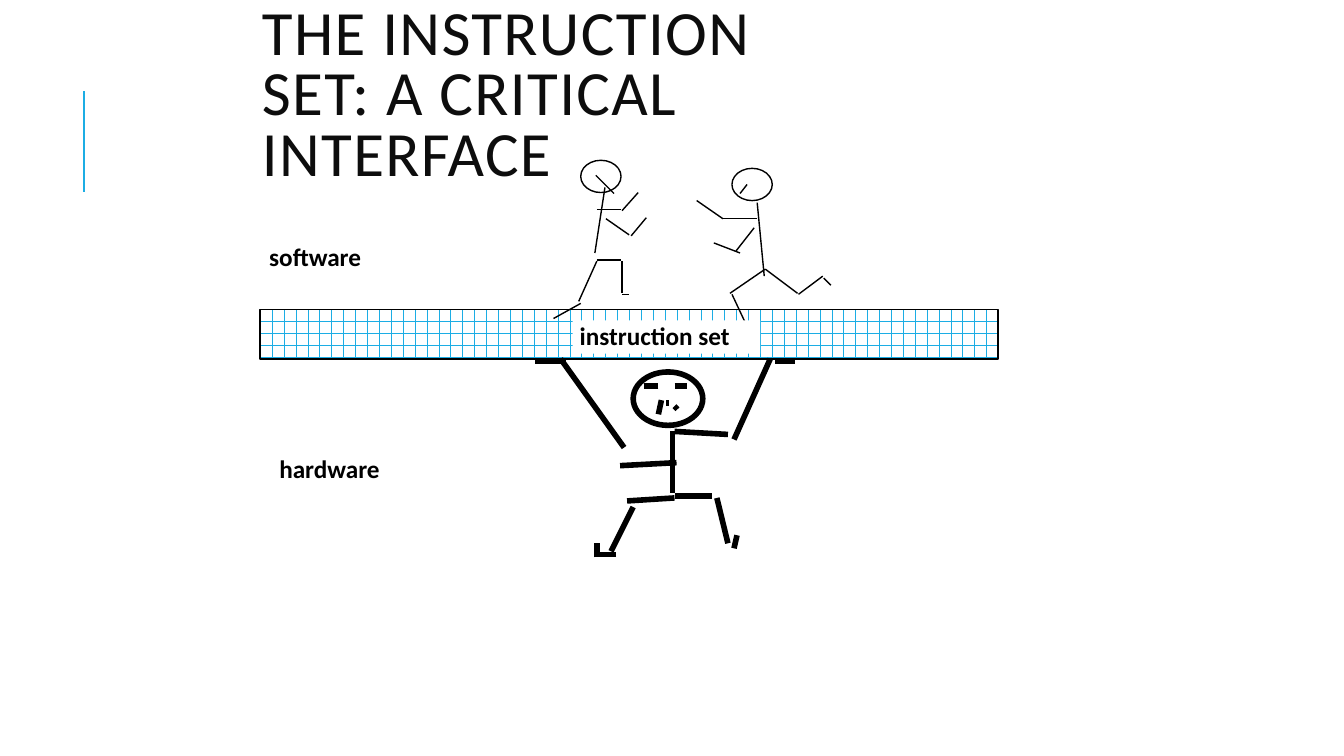
import pptx
import pptx.util
import pptx.dml.color
import pptx.enum.dml
import pptx.enum.shapes
import pptx.enum.text
import pptx.oxml.ns
import lxml.etree

Inches = pptx.util.Inches
Pt = pptx.util.Pt
RGBColor = pptx.dml.color.RGBColor
Shape = pptx.enum.shapes.MSO_SHAPE
Anchor = pptx.enum.text.MSO_ANCHOR

BLACK = RGBColor(0, 0, 0)
WHITE = RGBColor(255, 255, 255)
BLUE = RGBColor(0x1C, 0xAD, 0xE4)
INK = RGBColor(0x0D, 0x0D, 0x0D)
FONT = "Calibri"

TITLE = "THE INSTRUCTION SET: A CRITICAL INTERFACE"
LABELS = [
    ("instruction set", (5.68, 3.18, 1.86, 0.33), 0.92, WHITE),
    ("software", (2.6, 2.41, 1.15, 0.31), 0.85, None),
    ("hardware", (2.7, 4.51, 1.35, 0.31), 0.85, None),
]
RUNNER = [
    (6, 1.86, 5.9, 2.51), (5.92, 2.58, 6.16, 2.58),
    (6.17, 2.59, 6.17, 2.91), (6.17, 2.92, 6.24, 2.92),
    (5.92, 2.59, 5.74, 2.99), (5.76, 3.01, 5.49, 3.16),
    (6.01, 2.17, 6.24, 2.33), (6.26, 2.34, 6.41, 2.16),
    (5.92, 2.08, 6.16, 2.08), (6.17, 2.09, 6.33, 1.91),
    (6.09, 1.92, 5.91, 1.74),
]
CHASER = [
    (7.51, 2.01, 7.58, 2.74), (7.59, 2.67, 7.24, 2.91),
    (7.26, 2.92, 7.41, 3.24), (7.59, 2.67, 7.91, 2.91),
    (7.92, 2.92, 8.16, 2.74), (8.17, 2.76, 8.24, 2.83),
    (7.48, 2.26, 7.3, 2.49), (7.34, 2.51, 7.08, 2.41),
    (7.51, 2.17, 7.16, 2.17), (7.17, 2.17, 6.91, 1.99),
    (7.34, 1.92, 7.41, 1.83),
]
HOLDER = [
    (6.53, 4.11, 6.56, 3.97), (6.61, 4, 6.64, 4),
    (6.69, 4.03, 6.72, 4.06), (6.69, 3.83, 6.81, 3.83),
    (6.53, 3.83, 6.39, 3.83), (5.92, 5.53, 5.92, 5.39),
    (6.67, 4.28, 6.67, 4.89), (6.69, 4.92, 7.06, 4.92),
    (7.11, 4.94, 7.22, 5.39), (7.28, 5.44, 7.31, 5.31),
    (6.69, 4.94, 6.22, 4.97), (6.28, 5.03, 6.06, 5.47),
    (6.11, 5.5, 5.89, 5.5), (6.69, 4.28, 7.22, 4.31),
    (7.28, 4.36, 7.64, 3.56), (7.69, 3.58, 7.89, 3.58),
    (6.71, 4.59, 6.15, 4.62), (6.19, 4.44, 5.56, 3.56),
    (5.61, 3.58, 5.31, 3.58),
]
FIGURES = [
    ((5.76, 1.59, 0.4, 0.32), RUNNER, 1),
    ((7.26, 1.67, 0.4, 0.32), CHASER, 1),
    ((6.28, 3.69, 0.69, 0.53), HOLDER, 4),
]

deck = pptx.Presentation()
deck.slide_width, deck.slide_height = Inches(13.33), Inches(7.5)
slide = deck.slides.add_slide(deck.slide_layouts[6])
shapes = slide.shapes


def draw_line(ends, color, width):
    line = shapes.add_connector(
        pptx.enum.shapes.MSO_CONNECTOR.STRAIGHT, *map(Inches, ends))
    line.line.color.rgb = color
    line.line.width = Pt(width)
    lxml.etree.SubElement(line._element.spPr, pptx.oxml.ns.qn("a:effectLst"))


def draw_shape(kind, box, width):
    shape = shapes.add_shape(kind, *map(Inches, box))
    shape.shadow.inherit = False
    shape.fill.background()
    shape.line.color.rgb = BLACK
    shape.line.width = Pt(width)
    return shape


def add_text(text, box, size, color, space, pads, anchor):
    label = shapes.add_textbox(*map(Inches, box))
    frame = label.text_frame
    frame.word_wrap = True
    frame.vertical_anchor = anchor
    frame.margin_left, frame.margin_top, frame.margin_right, frame.margin_bottom = map(Inches, pads)
    para = frame.paragraphs[0]
    para.text = text
    para.line_spacing = space
    para.font.name = FONT
    para.font.size = Pt(size)
    para.font.color.rgb = color
    return label


draw_line((0.83, 1.9, 0.83, 0.9), BLUE, 1.5)
title = add_text(TITLE, (2.5, 0.77, 6.25, 0.4), 45, INK, 0.8,
                 (0.1, 0.05, 0.5, 0.05), Anchor.MIDDLE)
title.text_frame.paragraphs[0].runs[0]._r.get_or_add_rPr().set("spc", "100")

bar = draw_shape(Shape.RECTANGLE, (2.58, 3.07, 7.32, 0.49), 1)
bar.fill.patterned()
bar.fill.pattern = pptx.enum.dml.MSO_PATTERN.HORIZONTAL_BRICK
bar.fill.fore_color.rgb = BLUE
bar.fill.back_color.rgb = WHITE

for head, limbs, width in FIGURES:
    draw_shape(Shape.OVAL, head, width)
    for limb in limbs:
        draw_line(limb, BLACK, width)

for text, box, space, fill in LABELS:
    label = add_text(text, box, 18, BLACK, space,
                     (0.07, 0.03, 0.07, 0.03), Anchor.TOP)
    label.text_frame.paragraphs[0].font.bold = True
    if fill is not None:
        label.fill.solid()
        label.fill.fore_color.rgb = fill

deck.save("out.pptx")
